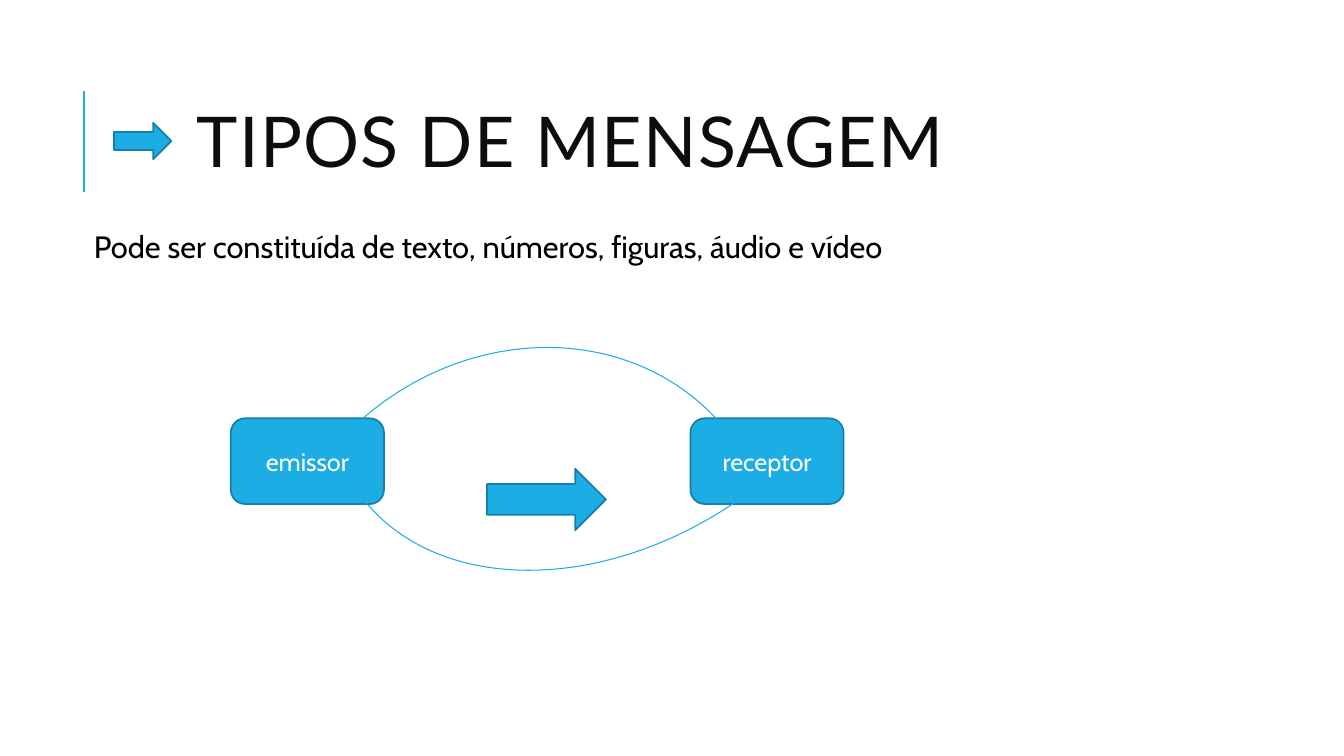
from dataclasses import dataclass

from lxml.etree import SubElement
from pptx import Presentation
from pptx.dml.color import RGBColor
from pptx.enum.shapes import MSO_CONNECTOR, MSO_SHAPE
from pptx.enum.text import MSO_ANCHOR, MSO_AUTO_SIZE, PP_ALIGN
from pptx.oxml.ns import qn
from pptx.util import Pt


@dataclass(frozen=True)
class Theme:
    """Colours, fonts and sizes (in points) of the slide."""
    accent: str = "1CADE4"
    edge: str = "1580A9"
    title: str = "0D0D0D"
    body: str = "000000"
    light: str = "FFFFFF"
    head_font: str = "Lato"
    body_font: str = "Cabin"
    title_size: float = 50
    body_size: float = 22
    label_size: float = 18
    edge_width: float = 1.25
    arc_width: float = 0.75
    rule_width: float = 1.5


T = Theme()

# Content
TITLE = "TIPOS DE MENSAGEM"
BODY = "Pode ser constituída de texto, números, figuras, áudio e vídeo"
NODES = ["emissor", "receptor"]

# Geometry in points: left, top, width, height
TITLE_BOX = (140.4, 46.1, 706, 118)
BODY_BOX = (67, 162, 782, 43)
NODE_BOX = (164.9, 298.8, 109.4, 61.2)
NODE_STEP = 328.3
ARROWS = [(81.4, 87.8, 41, 25.9), (347.8, 334.8, 85, 43.9)]
ARCS = [((180.7, 257, 380.9, 341.3), 319), ((216.7, 67, 438.5, 319), 145.5)]
RULE = (59.8, 64.8, 59.8, 136.8)


def pts(values):
    """Turn plain numbers into point lengths."""
    return [Pt(v) for v in values]


def write(s, text, font=T.body_font, size=T.body_size, color=T.body,
          align=PP_ALIGN.LEFT, anchor=MSO_ANCHOR.TOP, leading=1.0,
          inset=(0, 0, 0, 0), tracking=None):
    """Put one formatted paragraph into a shape."""
    tf = s.text_frame
    tf.word_wrap, tf.auto_size = True, MSO_AUTO_SIZE.NONE
    tf.vertical_anchor = anchor
    tf.margin_left, tf.margin_top, tf.margin_right, tf.margin_bottom = pts(inset)
    p = tf.paragraphs[0]
    p.alignment, p.line_spacing = align, leading
    p.space_before = p.space_after = Pt(0)
    r = p.add_run()
    r.text = text
    r.font.name, r.font.size = font, Pt(size)
    r.font.color.rgb = RGBColor.from_string(color)
    if tracking is not None:
        r.font._element.set("spc", str(int(tracking * 100)))


def shape(kind, box, fill=T.accent, line=T.edge, width=T.edge_width, rotation=0):
    """Add a preset shape without shadow; fill=None leaves it open."""
    s = slide.shapes.add_shape(kind, *pts(box))
    s.shadow.inherit = False
    s.rotation = rotation
    if fill:
        s.fill.solid()
        s.fill.fore_color.rgb = RGBColor.from_string(fill)
    else:
        s.fill.background()
    s.line.color.rgb = RGBColor.from_string(line)
    s.line.width = Pt(width)
    return s


def rule(ends):
    """Add the accent line beside the title."""
    c = slide.shapes.add_connector(MSO_CONNECTOR.STRAIGHT, *pts(ends))
    c.line.color.rgb = RGBColor.from_string(T.accent)
    c.line.width = Pt(T.rule_width)
    SubElement(c._element.spPr, qn("a:effectLst"))


prs = Presentation()
prs.slide_width, prs.slide_height = Pt(960), Pt(540)
slide = prs.slides.add_slide(prs.slide_layouts[5])

rule(RULE)
title = slide.shapes.title
title.left, title.top, title.width, title.height = pts(TITLE_BOX)
write(title, TITLE, font=T.head_font, size=T.title_size, color=T.title,
      anchor=MSO_ANCHOR.MIDDLE, leading=0.8, inset=(0, 3.6, 0, 3.6), tracking=1)
write(slide.shapes.add_textbox(*pts(BODY_BOX)), BODY, leading=0.9,
      inset=(0, 3.6, 3.6, 3.6))

left, top, width, height = NODE_BOX
for i, name in enumerate(NODES):
    node = shape(MSO_SHAPE.ROUNDED_RECTANGLE,
                 (left + i * NODE_STEP, top, width, height))
    write(node, name, size=T.label_size, color=T.light,
          align=PP_ALIGN.CENTER, anchor=MSO_ANCHOR.MIDDLE,
          inset=(7.2, 3.6, 7.2, 3.6))
for box, angle in ARCS:
    shape(MSO_SHAPE.ARC, box, fill=None, line=T.accent,
          width=T.arc_width, rotation=angle)
for box in ARROWS:
    shape(MSO_SHAPE.RIGHT_ARROW, box)

prs.save("out.pptx")
